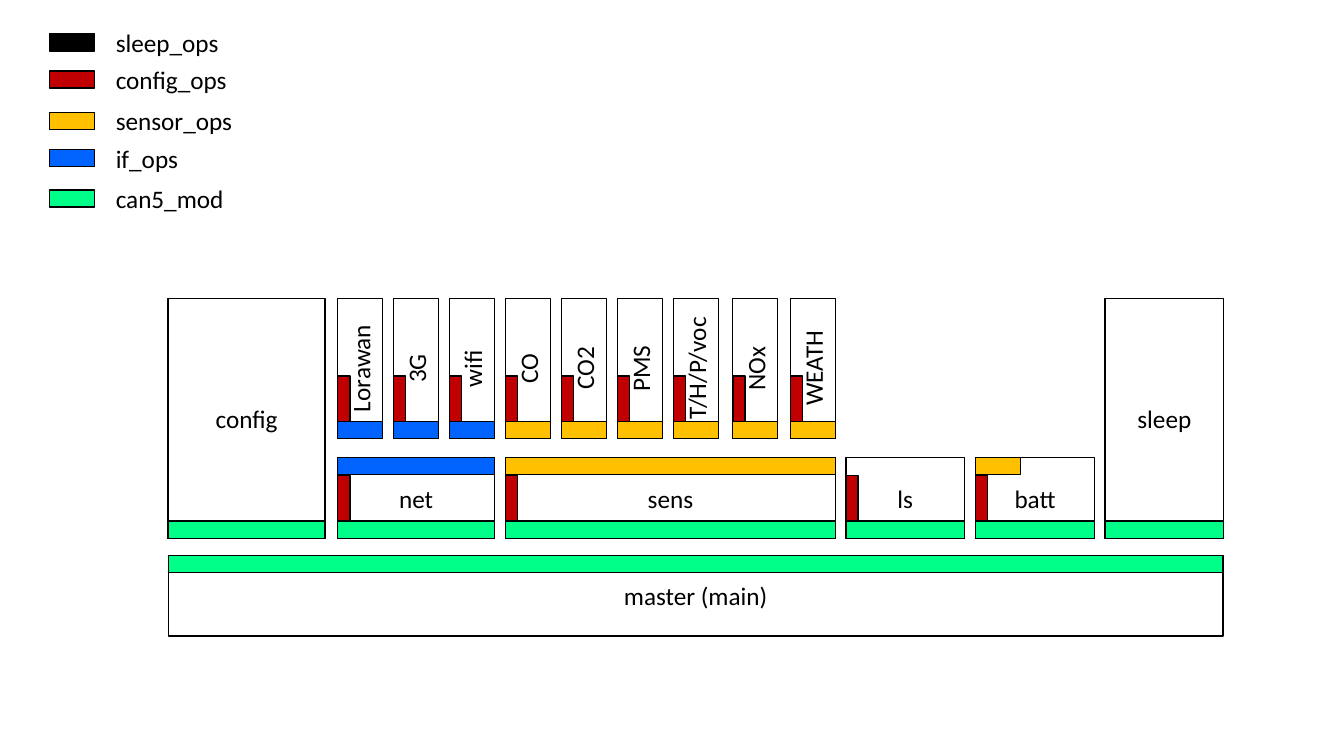
from pptx import Presentation
from pptx.dml.color import RGBColor
from pptx.enum.shapes import MSO_SHAPE as Shape
from pptx.enum.text import MSO_ANCHOR as Anchor, PP_ALIGN as Align
from pptx.util import Inches, Pt

BLACK = RGBColor(0x00, 0x00, 0x00)
WHITE = RGBColor(0xFF, 0xFF, 0xFF)
RED = RGBColor(0xC0, 0x00, 0x00)
AMBER = RGBColor(0xFF, 0xC0, 0x00)
BLUE = RGBColor(0x00, 0x62, 0xFF)
GREEN = RGBColor(0x00, 0xFF, 0x88)

# Column grid: column 0 is the first module, each column ends in a gutter
ORIGIN = 3.35
COLUMN = 3.33 / 6
GUTTER = 0.11
FIRST = -3.03  # column of the left edge of the diagram

# Row grid
TOP_ROW = 2.96
UNIT_ROW = 4.54
MASTER_ROW = 5.51
MODULE_HEIGHT = 1.39
UNIT_HEIGHT = 0.8
TOWER_HEIGHT = UNIT_ROW + UNIT_HEIGHT - TOP_ROW

# Interface bands and config tabs
BAND = 0.17
TAB_WIDTH, TAB_HEIGHT = 0.12, 0.45

# label, colour, vertical centre
LEGEND = [
    ("sleep_ops", BLACK, 0.42),
    ("config_ops", RED, 0.79),
    ("sensor_ops", AMBER, 1.2),
    ("if_ops", BLUE, 1.57),
    ("can5_mod", GREEN, 1.97),
]
# label, column, band colour
MODULES = [
    ("Lorawan", 0, BLUE),
    ("3G", 1, BLUE),
    ("wifi", 2, BLUE),
    ("CO", 3, AMBER),
    ("CO2", 4, AMBER),
    ("PMS", 5, AMBER),
    ("T/H/P/voc", 6, AMBER),
    ("NOx", 7.06, AMBER),
    ("WEATH", 8.09, AMBER),
]
# label, column, columns spanned, top band colour, columns under the top band
UNITS = [
    ("net", 0, 3, BLUE, 3),
    ("sens", 3, 6.09, AMBER, 6.09),
    ("ls", 9.08, 2.32, None, 0),
    ("batt", 11.4, 2.32, AMBER, 1),
]
# label, column, columns spanned
TOWERS = [("config", FIRST, 3), ("sleep", 13.71, 2.32)]


def left_of(column):
    return ORIGIN + column * COLUMN


def width_of(span):
    return span * COLUMN - GUTTER


def write(frame, text, align=Align.CENTER, anchor=Anchor.MIDDLE,
          size=18, color=BLACK):
    frame.word_wrap = True
    frame.vertical_anchor = anchor
    line = frame.paragraphs[0]
    line.alignment = align
    run = line.add_run()
    run.text = text
    run.font.name = "Calibri"
    run.font.size = Pt(size)
    run.font.color.rgb = color


def box(slide, left, top, width, height, fill=WHITE, label=None, upright=False):
    """Outlined rectangle; an upright one has its label reading upwards."""
    if upright:
        shift = (height - width) / 2
        left, top, width, height = left - shift, top + shift, height, width
    rect = slide.shapes.add_shape(
        Shape.RECTANGLE, Inches(left), Inches(top), Inches(width), Inches(height))
    rect.shadow.inherit = False
    rect.fill.solid()
    rect.fill.fore_color.rgb = fill
    rect.line.color.rgb = BLACK
    rect.line.width = Pt(1)
    if upright:
        rect.rotation = 270
    if label:
        write(rect.text_frame, label)


def band(slide, column, span, top, color):
    box(slide, left_of(column), top, width_of(span), BAND, color)


def tab(slide, column, bottom):
    box(slide, left_of(column), bottom - TAB_HEIGHT, TAB_WIDTH, TAB_HEIGHT, RED)


def legend_entry(slide, label, color, middle):
    box(slide, 0.49, middle - BAND / 2, 0.45, BAND, color)
    caption = slide.shapes.add_textbox(
        Inches(1.05), Inches(middle - 0.2), Inches(1.6), Inches(0.4))
    write(caption.text_frame, label, align=Align.LEFT, anchor=Anchor.TOP)


def module(slide, label, column, color):
    bottom = TOP_ROW + MODULE_HEIGHT
    box(slide, left_of(column), TOP_ROW, width_of(1), MODULE_HEIGHT,
        label=label, upright=True)
    band(slide, column, 1, bottom - BAND, color)
    tab(slide, column, bottom - BAND)


def block(slide, label, column, span, top, height):
    """Block standing on a can5_mod band."""
    box(slide, left_of(column), top, width_of(span), height, label=label)
    band(slide, column, span, top + height - BAND, GREEN)


def unit(slide, label, column, span, color, covered):
    block(slide, label, column, span, UNIT_ROW, UNIT_HEIGHT)
    if color:
        band(slide, column, covered, UNIT_ROW, color)
    tab(slide, column, UNIT_ROW + UNIT_HEIGHT - BAND)


def main():
    deck = Presentation()
    deck.slide_width, deck.slide_height = Inches(13.33), Inches(7.5)
    slide = deck.slides.add_slide(deck.slide_layouts[6])

    # Legend
    for entry in LEGEND:
        legend_entry(slide, *entry)

    # Modules above their units, with the full-height towers at both ends
    for entry in UNITS:
        unit(slide, *entry)
    for entry in MODULES:
        module(slide, *entry)
    for label, column, span in TOWERS:
        block(slide, label, column, span, TOP_ROW, TOWER_HEIGHT)

    # Master across the full width
    full = 19.05
    box(slide, left_of(FIRST), MASTER_ROW, width_of(full), UNIT_HEIGHT,
        label="master (main)")
    band(slide, FIRST, full, MASTER_ROW, GREEN)

    deck.save("out.pptx")


if __name__ == "__main__":
    main()
